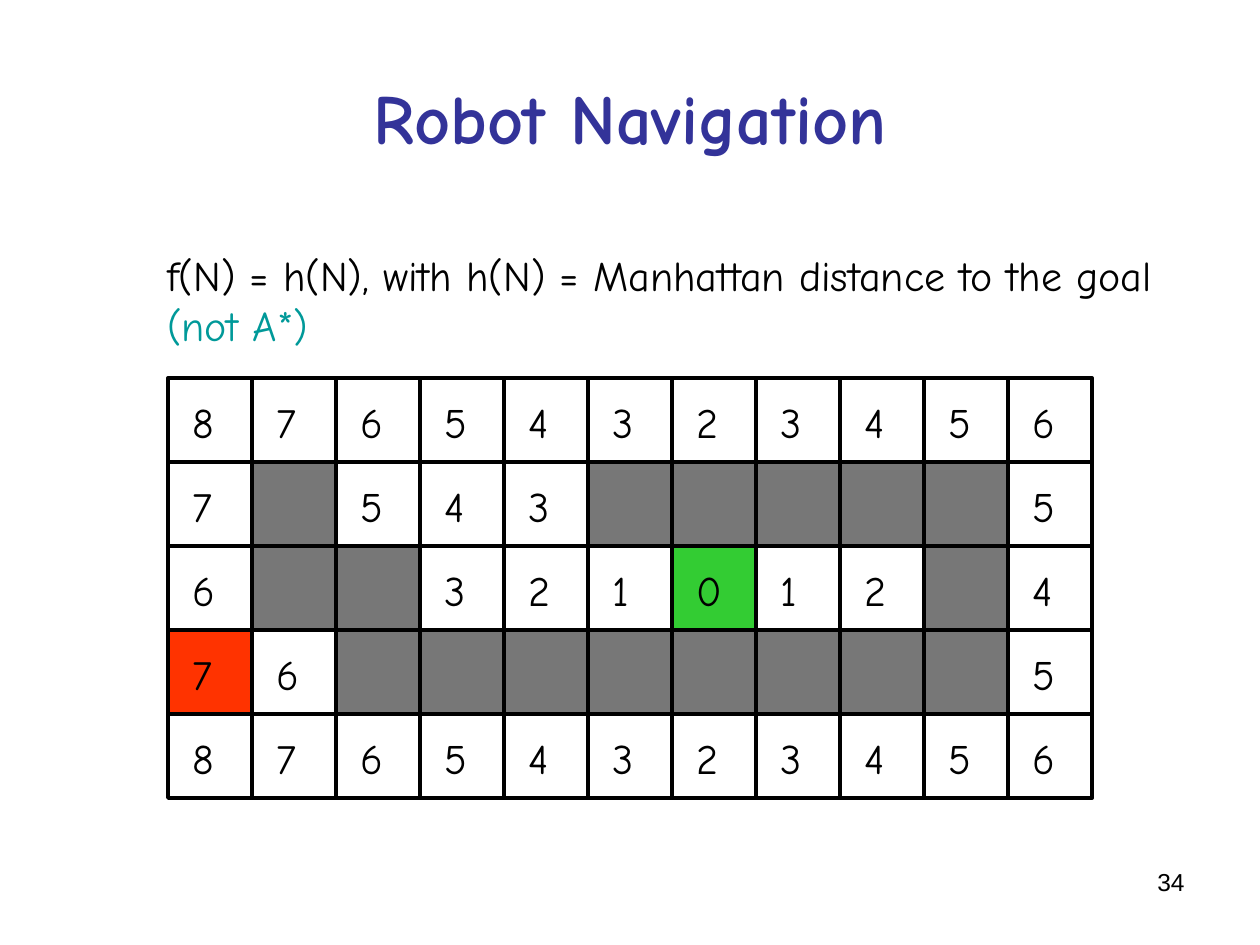
from pptx import Presentation
from pptx.dml.color import RGBColor
from pptx.enum.shapes import MSO_CONNECTOR, MSO_SHAPE
from pptx.enum.text import MSO_ANCHOR, PP_ALIGN
from pptx.oxml.ns import qn
from pptx.util import Pt
from lxml import etree

RECTANGLE = MSO_SHAPE.RECTANGLE
STRAIGHT = MSO_CONNECTOR.STRAIGHT
MIDDLE = MSO_ANCHOR.MIDDLE
LEFT, CENTER, RIGHT = PP_ALIGN.LEFT, PP_ALIGN.CENTER, PP_ALIGN.RIGHT

BLACK = RGBColor(0x00, 0x00, 0x00)
INDIGO = RGBColor(0x33, 0x33, 0x99)
TEAL = RGBColor(0x00, 0x99, 0x99)
WALL_GREY = RGBColor(0x77, 0x77, 0x77)
START_RED = RGBColor(0xFF, 0x33, 0x00)
GOAL_GREEN = RGBColor(0x33, 0xCC, 0x33)

HAND_FONT = "Comic Neue"
GRID_LEFT, GRID_TOP, CELL = 96, 216, 48
LINE_WIDTH = 2.25
DIGIT_OFFSET = 7

# Distance to the goal in each free cell; "#" is a wall.
MAZE = [
    "87654323456",
    "7#543#####5",
    "6##321012#4",
    "76########5",
    "87654323456",
]
START, GOAL = (3, 0), (2, 6)
GRID_WIDTH, GRID_HEIGHT = CELL * len(MAZE[0]), CELL * len(MAZE)


def add_run(paragraph, text, size=24, font=HAND_FONT, color=BLACK, bold=False,
            align=LEFT):
    paragraph.alignment = align
    run = paragraph.add_run()
    run.text = text
    run.font.size = Pt(size)
    run.font.name = font
    run.font.color.rgb = color
    run.font.bold = bold


def add_text_box(slide, left, top, width, height, wrap=True):
    """Add an empty text box and return its first paragraph."""
    box = slide.shapes.add_textbox(Pt(left), Pt(top), Pt(width), Pt(height))
    box.text_frame.word_wrap = wrap
    return box.text_frame.paragraphs[0]


def add_rectangle(slide, left, top, width, height, fill=None):
    shape = slide.shapes.add_shape(RECTANGLE, Pt(left), Pt(top), Pt(width), Pt(height))
    shape.shadow.inherit = False
    if fill is None:
        shape.fill.background()
    else:
        shape.fill.solid()
        shape.fill.fore_color.rgb = fill
    shape.line.color.rgb = BLACK
    shape.line.width = Pt(LINE_WIDTH)


def add_line(slide, x1, y1, x2, y2):
    line = slide.shapes.add_connector(STRAIGHT, Pt(x1), Pt(y1), Pt(x2), Pt(y2))
    line.line.color.rgb = BLACK
    line.line.width = Pt(LINE_WIDTH)
    etree.SubElement(line._element.spPr, qn("a:effectLst"))


def add_title(slide):
    title = slide.shapes.title
    title.left, title.top, title.width, title.height = Pt(36), Pt(21.6), Pt(648), Pt(90)
    title.text_frame.vertical_anchor = MIDDLE
    add_run(title.text_frame.paragraphs[0], "Robot Navigation",
            size=40, color=INDIGO, bold=True, align=CENTER)


def add_grid(slide):
    right, bottom = GRID_LEFT + GRID_WIDTH, GRID_TOP + GRID_HEIGHT
    add_rectangle(slide, GRID_LEFT, GRID_TOP, GRID_WIDTH, GRID_HEIGHT)
    for x in range(GRID_LEFT + CELL, right, CELL):
        add_line(slide, x, GRID_TOP, x, bottom)
    for y in range(GRID_TOP + CELL, bottom, CELL):
        add_line(slide, GRID_LEFT, y, right, y)


def add_cells(slide):
    special_fills = {START: START_RED, GOAL: GOAL_GREEN}
    for row, symbols in enumerate(MAZE):
        for column, symbol in enumerate(symbols):
            left, top = GRID_LEFT + column * CELL, GRID_TOP + row * CELL
            fill = WALL_GREY if symbol == "#" else special_fills.get((row, column))
            if fill is not None:
                add_rectangle(slide, left, top, CELL, CELL, fill)
            if symbol != "#":
                digit = add_text_box(slide, left + DIGIT_OFFSET, top + DIGIT_OFFSET, 27, 36)
                add_run(digit, symbol)


def main():
    presentation = Presentation()
    presentation.slide_width, presentation.slide_height = Pt(720), Pt(540)
    slide = presentation.slides.add_slide(presentation.slide_layouts[5])

    add_title(slide)
    add_grid(slide)
    add_cells(slide)

    formula = add_text_box(slide, 88.5, 139, 579, 65, wrap=False)
    add_run(formula, "f(N) = h(N), with h(N) = Manhattan distance to the goal")
    formula.add_line_break()
    add_run(formula, "(not A*)", color=TEAL)

    page_number = add_text_box(slide, 516, 492, 168, 37.5)
    add_run(page_number, "34", size=14, font="Arial", align=RIGHT)

    presentation.save("out.pptx")


if __name__ == "__main__":
    main()
